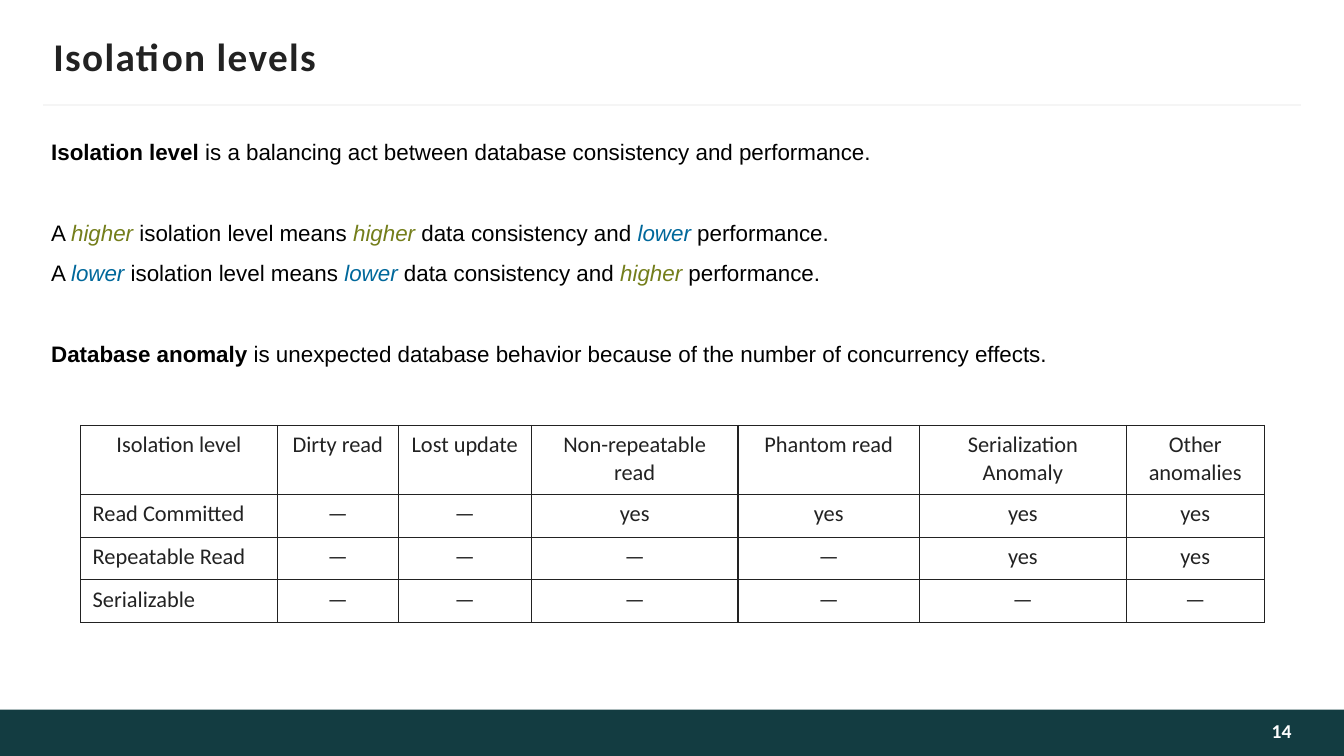
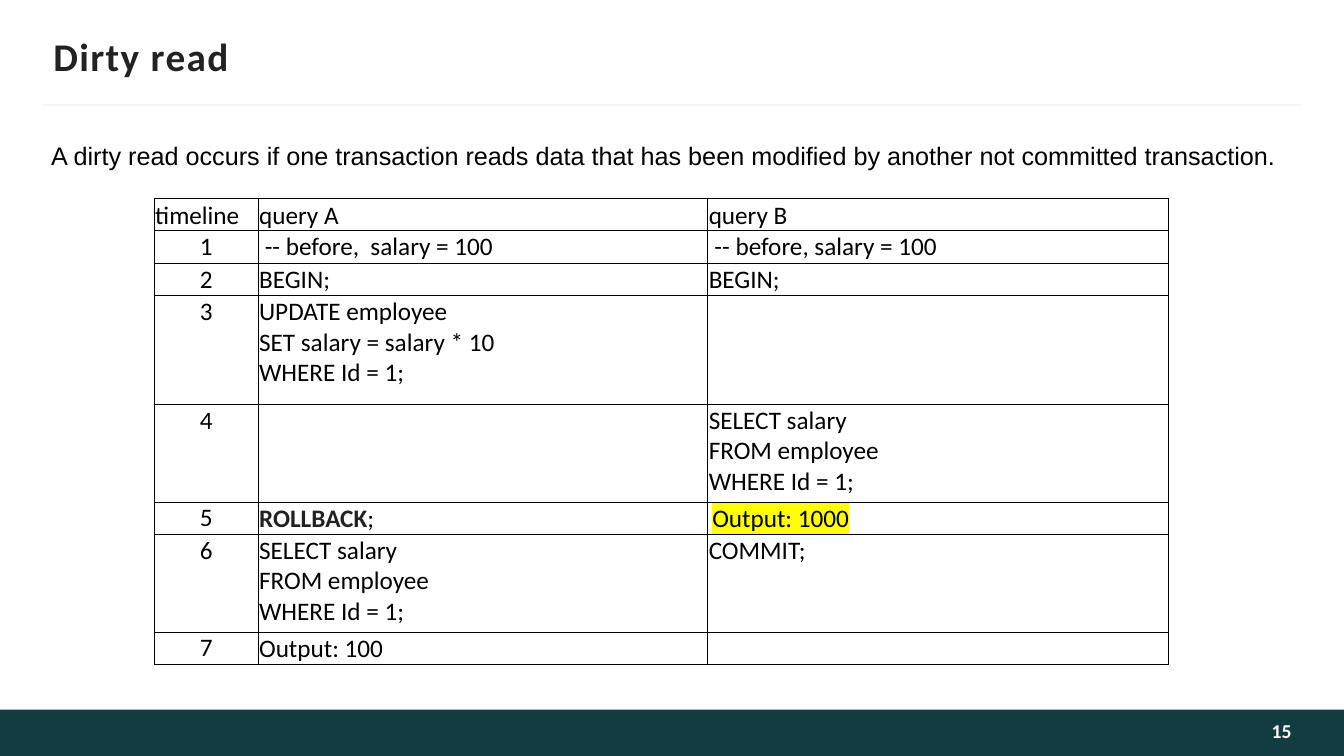
import pptx
import pptx.dml.color
import pptx.enum.shapes
import pptx.enum.text
import pptx.oxml.ns
import pptx.util
import lxml.etree

RGB = pptx.dml.color.RGBColor
TEAL = RGB(0x13, 0x3C, 0x41)
PALE = RGB(0xF5, 0xF5, 0xF5)
INK = RGB(0x22, 0x22, 0x22)
SNOW = RGB(0xFE, 0xFE, 0xFE)
WHITE = RGB(0xFF, 0xFF, 0xFF)
BLACK = RGB(0x00, 0x00, 0x00)
OLIVE = RGB(0x74, 0x7E, 0x1B)
BLUE = RGB(0x00, 0x68, 0x9B)
YELLOW = RGB(0xFF, 0xFF, 0x00)

ALIGN = pptx.enum.text.PP_ALIGN
ANCHOR = pptx.enum.text.MSO_ANCHOR
qn = pptx.oxml.ns.qn
Pt = pptx.util.Pt

SCALE = 9144  # EMU in one px, 100 px to the inch
WIDE, HIGH = 1333, 750


def px(size):
    return pptx.util.Emu(size * SCALE)


class Deck:
    HEAD = "Calibri"
    BODY = "Arial"

    def __init__(self, first):
        self.file = pptx.Presentation()
        self.file.slide_width, self.file.slide_height = px(WIDE), px(HIGH)
        self.page = first - 1
        self.slide = None

    def start(self, title):
        """Add a slide with its band, rule, title and number."""
        self.slide = self.file.slides.add_slide(self.file.slide_layouts[6])
        self.page += 1
        self.band(0, 704, WIDE, 46)
        self.rule(43, 104, 1290)
        head = self.text([title], 53, 33, 1229, 44, 28, INK, self.HEAD,
                         inset=(0, 5, 0, 5), anchor=ANCHOR.MIDDLE, bold=True)
        for run in head.paragraphs[0].runs:
            run.font._element.set("spc", "100")
        self.text([str(self.page)], 1081, 704, 200, 46, 14, SNOW, self.HEAD,
                  inset=(10, 5, 0, 9), anchor=ANCHOR.MIDDLE, bold=True,
                  align=ALIGN.RIGHT)

    def band(self, x, y, w, h):
        kind = pptx.enum.shapes.MSO_SHAPE.RECTANGLE
        band = self.slide.shapes.add_shape(kind, px(x), px(y), px(w), px(h))
        band.shadow.inherit = False
        band.fill.solid()
        band.fill.fore_color.rgb = TEAL
        band.line.fill.background()

    def rule(self, left, y, right):
        kind = pptx.enum.shapes.MSO_CONNECTOR.STRAIGHT
        rule = self.slide.shapes.add_connector(
            kind, px(left), px(y), px(right), px(y))
        rule.line.color.rgb = PALE
        rule.line.width = Pt(1.5)
        lxml.etree.SubElement(rule._element.spPr, qn("a:effectLst"))

    def text(self, paras, x, y, w, h, size, color, face, inset=(10, 5, 10, 5),
             anchor=ANCHOR.TOP, align=ALIGN.LEFT, bold=None, space=None):
        box = self.slide.shapes.add_textbox(px(x), px(y), px(w), px(h))
        frame = box.text_frame
        frame.word_wrap = True
        frame.vertical_anchor = anchor
        self.pad(frame, inset)
        for i, para in enumerate(paras):
            line = frame.add_paragraph() if i else frame.paragraphs[0]
            line.alignment = align
            line.line_spacing = space
            self.words(line, para, size, color, face, bold)
        return frame

    def pad(self, part, inset):
        (part.margin_left, part.margin_top,
         part.margin_right, part.margin_bottom) = map(px, inset)

    def words(self, line, para, size, color, face, bold=None):
        """Fill a paragraph from a string or from (text, changes) pairs."""
        if isinstance(para, str):
            line.text = para
            pairs = [(run, {}) for run in line.runs]
        else:
            pairs = []
            for text, look in para:
                run = line.add_run()
                run.text = text
                pairs.append((run, look))
        for run, look in pairs:
            font = run.font
            font.name = face
            font.size = Pt(look.get("size", size))
            font.color.rgb = look.get("color", color)
            font.bold = look.get("bold", bold)
            font.italic = look.get("italic")
            if "mark" in look:
                mark = lxml.etree.Element(qn("a:highlight"))
                tone = lxml.etree.SubElement(mark, qn("a:srgbClr"))
                tone.set("val", str(look["mark"]))
                font._element.find(qn("a:solidFill")).addnext(mark)

    def table(self, data, x, y, cols, rows, size, color, inset, edge,
              mid, low=lambda r, c: False, fill=None):
        """Draw a grid; mid and low tell which cells are centred or low."""
        grid = self.slide.shapes.add_table(
            len(rows), len(cols), px(x), px(y),
            px(sum(cols)), px(sum(rows))).table
        grid.first_row = grid.horz_banding = False
        for col, w in zip(grid.columns, cols):
            col.width = px(w)
        for row, h in zip(grid.rows, rows):
            row.height = px(h)
        for r, row in enumerate(data):
            for c, para in enumerate(row):
                cell = grid.cell(r, c)
                self.pad(cell, inset)
                self.edge(cell, color, edge)
                if fill is None:
                    cell.fill.background()
                else:
                    cell.fill.solid()
                    cell.fill.fore_color.rgb = fill
                if low(r, c):
                    cell.vertical_anchor = ANCHOR.BOTTOM
                line = cell.text_frame.paragraphs[0]
                line.alignment = ALIGN.CENTER if mid(r, c) else ALIGN.LEFT
                self.words(line, para, size, color, self.HEAD)

    def edge(self, cell, color, width):
        props = cell._tc.get_or_add_tcPr()
        for side in ("a:lnL", "a:lnR", "a:lnT", "a:lnB"):
            line = lxml.etree.SubElement(props, qn(side))
            line.set("w", str(int(Pt(width))))
            paint = lxml.etree.SubElement(line, qn("a:solidFill"))
            tone = lxml.etree.SubElement(paint, qn("a:srgbClr"))
            tone.set("val", str(color))


def levels(deck):
    deck.start("Isolation levels")

    # Definitions
    bold = {"bold": True}
    more = ("higher", {"color": OLIVE, "italic": True})
    less = ("lower", {"color": BLUE, "italic": True})

    def trade(level, speed):
        return [("A ", {}), level, (" isolation level means ", {}), level,
                (" data consistency and ", {}), speed, (" performance.", {})]

    paras = [
        [("Isolation level ", bold),
         ("is a balancing act between database consistency and performance.",
          {})],
        trade(more, less),
        trade(less, more),
        [("Database anomaly ", bold),
         ("is unexpected database behavior because of the number of "
          "concurrency effects.", {})],
    ]
    frame = deck.text(paras, 41, 119, 1273, 247, 16, BLACK, deck.BODY,
                      space=1.5)
    for i in (1, 3):
        frame.paragraphs[i].space_before = Pt(29)

    # Anomalies that each level allows
    heads = ["Isolation level", "Dirty read", "Lost update",
             "Non-repeatable read", "Phantom read", "Serialization Anomaly",
             "Other anomalies"]
    safe = {"Read Committed": 2, "Repeatable Read": 4, "Serializable": 6}
    data = [heads] + [[name] + ["—"] * n + ["yes"] * (6 - n)
                      for name, n in safe.items()]
    deck.table(data, 80, 422, [195, 120, 132, 205, 180, 205, 137],
               [68, 43, 42, 42], 16, INK, (12, 6, 12, 9), 1,
               mid=lambda r, c: r == 0 or c > 0, fill=WHITE)


def dirty(deck):
    deck.start("Dirty read")

    # Definition
    deck.text(["A dirty read occurs if one transaction reads data that has "
               "been modified by another not committed transaction."],
              41, 119, 1273, 51, 18, BLACK, deck.BODY, space=1.5)

    # Timeline of the two queries
    query = "SELECT salary\vFROM employee\vWHERE Id = 1;"
    steps = [
        (" -- before,  salary = 100", " -- before, salary = 100"),
        ("BEGIN;", "BEGIN;"),
        ("UPDATE employee\vSET salary = salary * 10\vWHERE Id = 1;", ""),
        ("", query),
        ([("ROLLBACK", {"color": INK, "bold": True}), (";", {})],
         [(" ", {"size": 11}), ("Output: 1000", {"mark": YELLOW})]),
        (query, "COMMIT;"),
        ("Output: 100", ""),
    ]
    data = [("timeline", "query A", "query B")]
    data += [(str(n), *step) for n, step in enumerate(steps, 1)]
    deck.table(data, 153, 197, [103, 446, 457],
               [32, 32, 32, 108, 97, 32, 97, 32], 18, BLACK, (1, 1, 1, 0),
               0.5, mid=lambda r, c: r > 0 and c == 0,
               low=lambda r, c: r == 0 or (r in (5, 7) and c > 0))


def main():
    deck = Deck(14)
    levels(deck)
    dirty(deck)
    deck.file.save("out.pptx")


if __name__ == "__main__":
    main()
